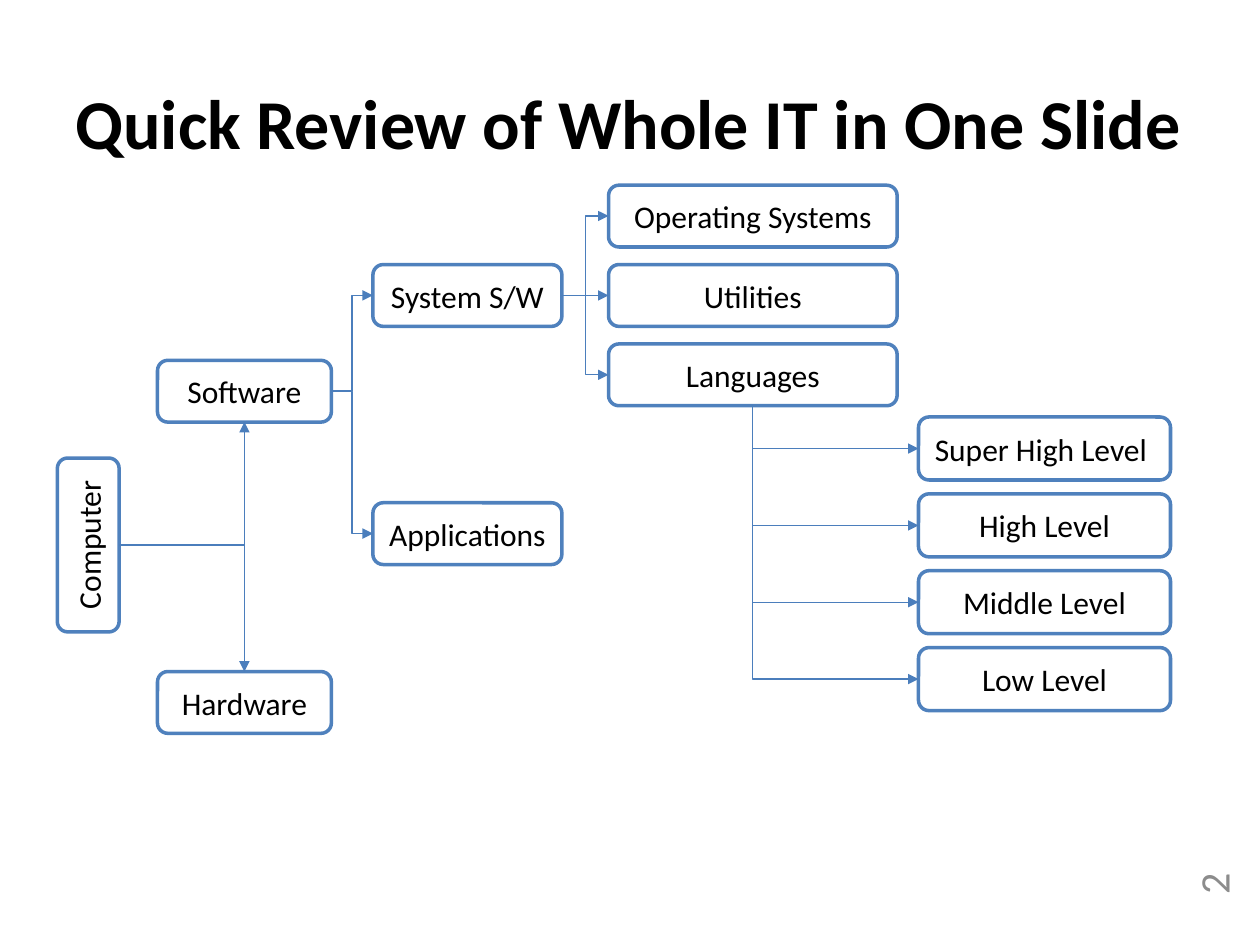
"""Build a one-slide tree that reviews the parts of a computer."""
import pptx
import pptx.util
import pptx.dml.color
import pptx.enum.shapes
import pptx.enum.text
import pptx.oxml.ns
import lxml.etree

TITLE = "Quick Review of Whole IT in One Slide"
FONT, BLACK, WHITE, GREY = "Calibri", "000000", "FFFFFF", "8C8C8C"
EDGE, WIRE = "4F81BD", "4B7EBC"
COLUMNS = [
    (1.25, 1.38, 0.49, 2.86, 2.47, ["Software", "Hardware"]),
    (2.96, 1.5, 0.49, 2.1, 1.89, ["System S/W", "Applications"]),
    (4.83, 2.29, 0.49, 1.47, 0.63, ["Operating Systems", "Utilities", "Languages"]),
    (7.29, 2, 0.5, 3.31, 0.61,
     ["Super High Level ", "High Level", "Middle Level", "Low Level"]),
]
ROOT = ("Computer", (0.01, 4.08, 1.38, 0.49))
LINKS = [
    ("Languages", COLUMNS[3][5], "down"),
    ("Software", COLUMNS[1][5], "across"),
    ("System S/W", COLUMNS[2][5], "across"),
    ("Computer", COLUMNS[0][5], "corner"),
]
ALIGN = pptx.enum.text.PP_ALIGN
ANCHOR = pptx.enum.text.MSO_ANCHOR
WIRES = pptx.enum.shapes.MSO_CONNECTOR
inch = pptx.util.Inches


def hue(code):
    """Turn a hex string into a colour."""
    return pptx.dml.color.RGBColor.from_string(code)


def write(shape, text, size, color=BLACK, align=ALIGN.CENTER, bold=False):
    """Put one styled paragraph into a shape."""
    frame = shape.text_frame
    frame.word_wrap = True
    frame.vertical_anchor = ANCHOR.MIDDLE
    para = frame.paragraphs[0]
    para.text, para.alignment = text, align
    font = para.font
    font.name, font.size, font.bold = FONT, pptx.util.Pt(size), bold
    font.color.rgb = hue(color)


def label(slide, box, *style):
    """Add a text box and return it."""
    shape = slide.shapes.add_textbox(*map(inch, box))
    write(shape, *style)
    return shape


def node(slide, text, box):
    """Add a rounded box and return it."""
    kind = pptx.enum.shapes.MSO_SHAPE.ROUNDED_RECTANGLE
    shape = slide.shapes.add_shape(kind, *map(inch, box))
    shape.shadow.inherit = False
    shape.fill.solid()
    shape.fill.fore_color.rgb = hue(WHITE)
    shape.line.color.rgb = hue(EDGE)
    shape.line.width = pptx.util.Pt(2)
    write(shape, text, 18)
    return shape


def wire(slide, start, end, bend):
    """Add an arrow that runs straight, across, round a corner or down."""
    (x1, y1), (x2, y2) = start, end
    if bend == "down":
        midx, midy = (x1 + x2) / 2, (y1 + y2) / 2
        halfx, halfy = (x2 - x1) / 2, (y2 - y1) / 2
        x1, x2 = midx + halfy, midx - halfy
        y1, y2 = midy - halfx, midy + halfx
    kind = WIRES.STRAIGHT if abs(y1 - y2) < 0.01 else WIRES.ELBOW
    line = slide.shapes.add_connector(kind, *map(inch, (x1, y1, x2, y2)))
    line.line.color.rgb = hue(WIRE)
    line.line.width = pptx.util.Pt(0.75)
    name = pptx.oxml.ns.qn
    props = line._element.spPr
    if bend != "across":
        props.find(name("a:prstGeom")).set("prst", "bentConnector2")
    if bend == "down":
        props.find(name("a:xfrm")).set("rot", str(270 * 60000))
    tip = lxml.etree.SubElement(props.find(name("a:ln")), name("a:tailEnd"))
    tip.set("type", "triangle")
    lxml.etree.SubElement(props, name("a:effectLst"))


def ends(source, target, bend):
    """Find where a link leaves one box and meets another."""
    left, top, width, height = source
    x, y, w, h = target
    if bend == "down":
        return (left + width / 2, top + height), (x, y + h / 2)
    start = (left + width, top + height / 2)
    if bend == "across":
        return start, (x, y + h / 2)
    return start, (x + w / 2, y + h if y < top else y)


def main():
    """Draw the slide and save it."""
    deck = pptx.Presentation()
    deck.slide_width, deck.slide_height = inch(10), inch(7.5)
    slide = deck.slides.add_slide(deck.slide_layouts[6])
    label(slide, (9.29, 6.96, 0.67, 0.42), "2", 24, GREY, ALIGN.RIGHT).rotation = 270
    label(slide, (0.5, 0.58, 9.08, 0.77), TITLE, 40, BLACK, ALIGN.LEFT, True)

    root, (left, top, width, height) = ROOT
    node(slide, root, ROOT[1]).rotation = 270
    shift = (width - height) / 2
    boxes = {root: (left + shift, top - shift, height, width)}
    for left, width, height, top, step, names in COLUMNS:
        for row, text in enumerate(names):
            boxes[text] = (left, top + row * step, width, height)
            node(slide, text, boxes[text])
    for source, targets, bend in LINKS:
        for target in targets:
            wire(slide, *ends(boxes[source], boxes[target], bend), bend)
    deck.save("out.pptx")


if __name__ == "__main__":
    main()
